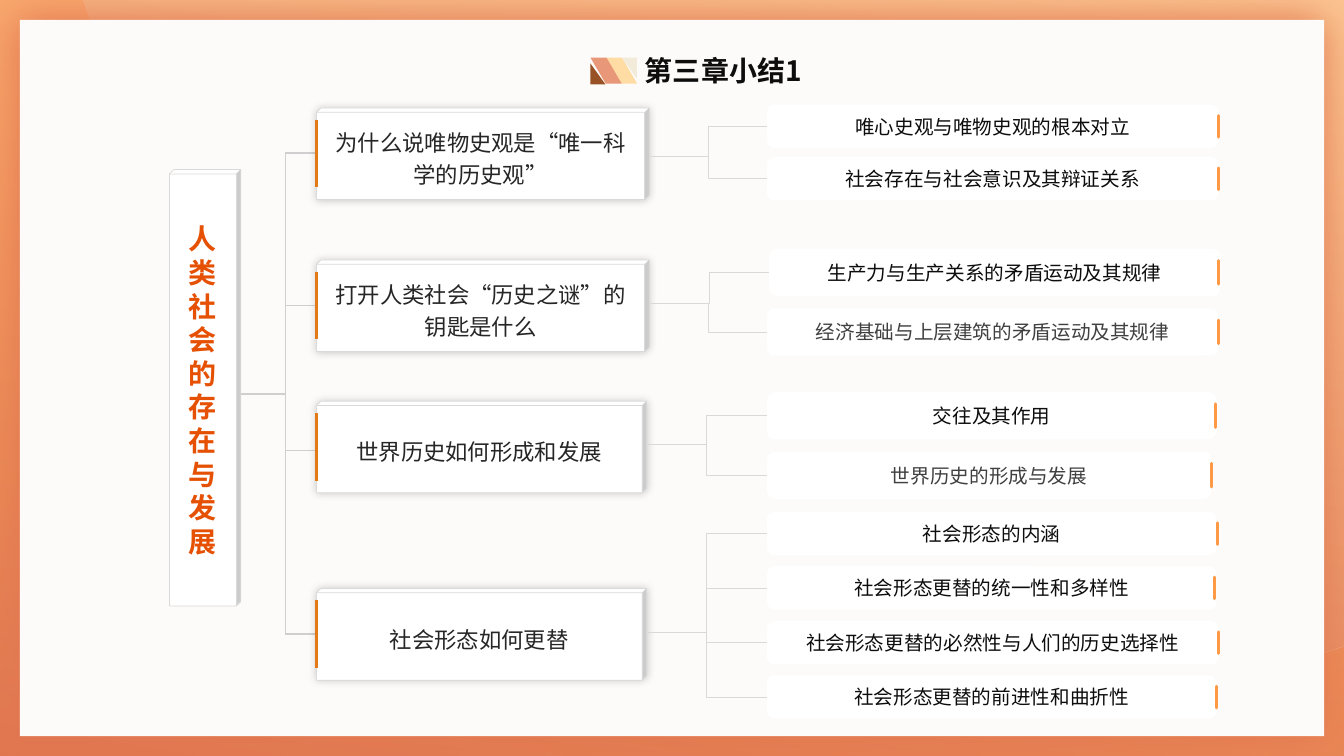
from dataclasses import dataclass

from lxml.etree import SubElement
from pptx import Presentation
from pptx.dml.color import RGBColor
from pptx.enum.shapes import MSO_CONNECTOR as Link, MSO_SHAPE as Preset
from pptx.enum.text import MSO_ANCHOR as Anchor, MSO_AUTO_SIZE as AutoSize, PP_ALIGN as Align
from pptx.oxml.ns import qn
from pptx.util import Cm, Pt


@dataclass(frozen=True)
class Theme:
    font: str = "Noto Sans CJK SC"
    title_size: int = 20
    topic_size: int = 16
    point_size: int = 14
    ink: str = "0D0D0D"
    topic_ink: str = "262626"
    soft_ink: str = "404040"
    root_ink: str = "E55003"
    white: str = "FFFFFF"
    panel: str = "FDFBF9"
    frame: str = "E17751"
    frame_end: str = "FD7201"
    swoosh_end: str = "FDD5A6"
    edge: str = "D9D9D9"
    spine: str = "D0CECE"
    topic_mark: str = "E37A17"
    point_mark: str = "FE9946"


@dataclass(frozen=True)
class Box:
    left: float
    top: float
    width: float
    height: float

    @property
    def right(self) -> float:
        return self.left + self.width

    @property
    def middle(self) -> float:
        return self.top + self.height / 2


@dataclass(frozen=True)
class Shadow:
    color: str
    alpha: int
    blur: int


@dataclass(frozen=True)
class Point:
    text: str
    box: Box
    mark_x: float
    ink: str


@dataclass(frozen=True)
class Topic:
    text: str
    box: Box
    branch_y: float
    hub_y: float
    points: tuple[Point, ...]


@dataclass(frozen=True)
class Stripe:
    preset: Preset
    box: Box
    color: str
    flipped: bool = False
    turn: int = 0


THEME = Theme()
SPINE_X = 7.19
STUB_Y = 9.93
ROOT = Box(4.27, 4.27, 1.8, 11)
TOPIC_SHADOW = Shadow("000000", 20, 6)


def point(text: str, top: float, height: float = 1.09, width: float = 11.38,
          mark_x: float = 30.71, ink: str = THEME.ink, left: float = 19.33) -> Point:
    return Point(text, Box(left, top, width, height), mark_x, ink)


def topic(text: str, top: float, width: float, branch_y: float, hub_y: float, *points: Point) -> Topic:
    return Topic(text, Box(7.98, top, width, 2.31), branch_y, hub_y, points)


TOPICS = (
    topic("为什么说唯物史观是“唯一科学的历史观”", 2.72, 8.38, 3.86, 3.94,
          point("唯心史观与唯物史观的根本对立", 2.64),
          point("社会存在与社会意识及其辩证关系", 3.96)),
    topic("打开人类社会“历史之谜”的钥匙是什么", 6.55, 8.38, 7.7, 7.65,
          point("生产力与生产关系的矛盾运动及其规律", 6.27, 1.19, left=19.38),
          point("经济基础与上层建筑的矛盾运动及其规律", 7.77, 1.19, ink=THEME.soft_ink)),
    topic("世界历史如何形成和发展", 10.11, 8.31, 11.35, 11.2,
          point("交往及其作用", 9.88, 1.19, 11.33, 30.63),
          point("世界历史的形成与发展", 11.38, 1.19, 11.2, 30.53, THEME.soft_ink)),
    topic("社会形态如何更替", 14.83, 8.31, 15.98, 15.93,
          point("社会形态的内涵", 12.9, width=11.33, mark_x=30.68),
          point("社会形态更替的统一性和多样性", 14.27, width=11.33, mark_x=30.61),
          point("社会形态更替的必然性与人们的历史选择性", 15.65),
          point("社会形态更替的前进性和曲折性", 17.02, width=11.33, mark_x=30.66)),
)

STRIPES = (
    Stripe(Preset.PARALLELOGRAM, Box(15.27, 1.45, 0.79, 0.66), "FEDCA3", flipped=True),
    Stripe(Preset.RIGHT_TRIANGLE, Box(15.67, 1.45, 0.38, 0.53), "F2EBD9", turn=180),
    Stripe(Preset.PARALLELOGRAM, Box(14.88, 1.45, 0.79, 0.66), "E89779", flipped=True),
    Stripe(Preset.RIGHT_TRIANGLE, Box(14.88, 1.6, 0.38, 0.53), "985125"),
)


def rgb(color: str) -> RGBColor:
    return RGBColor.from_string(color)


def add_block(slide, preset: Preset, box: Box, fill: str, edge: str = "", shadow: Shadow | None = None):
    block = slide.shapes.add_shape(preset, Cm(box.left), Cm(box.top), Cm(box.width), Cm(box.height))
    block.fill.solid()
    block.fill.fore_color.rgb = rgb(fill)
    if edge:
        block.line.color.rgb = rgb(edge)
        block.line.width = Pt(0.5)
    else:
        block.line.fill.background()
    block.shadow.inherit = False
    if shadow:
        effects = block.element.spPr.find(qn("a:effectLst"))
        outer = SubElement(effects, qn("a:outerShdw"), blurRad=str(Pt(shadow.blur)), dist="0", algn="ctr")
        tone = SubElement(outer, qn("a:srgbClr"), val=shadow.color)
        SubElement(tone, qn("a:alpha"), val=str(shadow.alpha * 1000))
    return block


def add_line(slide, x1: float, y1: float, x2: float, y2: float, color: str, width: float,
             kind: Link = Link.STRAIGHT, rounded: bool = False) -> None:
    line = slide.shapes.add_connector(kind, Cm(x1), Cm(y1), Cm(x2), Cm(y2))
    line.line.color.rgb = rgb(color)
    line.line.width = Pt(width)
    if rounded:
        line.line._get_or_add_ln().set("cap", "rnd")
    SubElement(line.element.spPr, qn("a:effectLst"))


def write(shape, text: str, size: int, color: str, bold: bool = False,
          align: Align = Align.CENTER, spacing: float = 1.0) -> None:
    frame = shape.text_frame
    frame.word_wrap = True
    frame.auto_size = AutoSize.NONE
    frame.vertical_anchor = Anchor.MIDDLE
    paragraph = frame.paragraphs[0]
    paragraph.alignment = align
    paragraph.line_spacing = spacing
    run = paragraph.add_run()
    run.text = text
    run.font.size = Pt(size)
    run.font.bold = bold
    run.font.color.rgb = rgb(color)
    run.font.name = THEME.font
    SubElement(run._r.get_or_add_rPr(), qn("a:ea"), typeface=THEME.font)


def fill_gradient(shape, start: str, end: str) -> None:
    shape.line.fill.background()
    shape.shadow.inherit = False
    shape.fill.gradient()
    shape.fill.gradient_angle = 80
    for stop, color in zip(shape.fill.gradient_stops, (start, end)):
        stop.color.rgb = rgb(color)
    tones = list(shape.element.spPr.iter(qn("a:srgbClr")))
    SubElement(tones[-1], qn("a:alpha"), val="50000")


def curve(*controls: tuple[float, float], steps: int = 24) -> list[tuple[float, float]]:
    def at(t: float, axis: int) -> float:
        a, b, c, d = (control[axis] for control in controls)
        return a * (1 - t) ** 3 + 3 * b * t * (1 - t) ** 2 + 3 * c * t ** 2 * (1 - t) + d * t ** 3
    return [(at(i / steps, 0), at(i / steps, 1)) for i in range(1, steps + 1)]


def draw_background(slide) -> None:
    frame = add_block(slide, Preset.RECTANGLE, Box(0, 0, 33.87, 19.05), THEME.frame)
    fill_gradient(frame, THEME.frame, THEME.frame_end)
    outline = [(33.87, 0), (33.87, 16.26), (33.4, 16.41)]
    outline += curve((33.4, 16.41), (31.04, 17.15), (28.55, 17.53), (25.96, 17.53))
    outline += curve((25.96, 17.53), (15.16, 17.53), (5.99, 10.69), (2.49, 1.12))
    builder = slide.shapes.build_freeform(Cm(2.11), 0)
    builder.add_line_segments([(Cm(x), Cm(y)) for x, y in outline], close=True)
    fill_gradient(builder.convert_to_shape(), THEME.frame, THEME.swoosh_end)
    add_block(slide, Preset.RECTANGLE, Box(0.5, 0.5, 32.87, 18.05), THEME.panel,
              shadow=Shadow(THEME.frame, 100, 30))


def draw_title(slide) -> None:
    title = slide.shapes.title
    title.left, title.top, title.width, title.height = Cm(16), Cm(1.22), Cm(5.49), Cm(1.12)
    write(title, "第三章小结1", THEME.title_size, THEME.ink, bold=True, align=Align.LEFT)
    title.element.getparent().append(title.element)
    for stripe in STRIPES:
        block = add_block(slide, stripe.preset, stripe.box, stripe.color)
        block.rotation = stripe.turn
        if stripe.preset == Preset.PARALLELOGRAM:
            block.adjustments[0] = 0.585
        if stripe.flipped:
            block.element.spPr.xfrm.set("flipH", "1")


def draw_root(slide) -> None:
    add_line(slide, SPINE_X, TOPICS[0].branch_y, SPINE_X, TOPICS[-1].branch_y, THEME.spine, 1)
    add_line(slide, SPINE_X, STUB_Y, ROOT.right, STUB_Y, THEME.spine, 1)
    root = add_block(slide, Preset.CUBE, ROOT, THEME.white, THEME.edge)
    root.adjustments[0] = 0.063
    write(root, "人类社会的存在与发展", THEME.title_size, THEME.root_ink, bold=True)


def draw_point(slide, item: Point) -> None:
    box = item.box
    plate = add_block(slide, Preset.ROUNDED_RECTANGLE, box, THEME.white)
    write(plate, item.text, THEME.point_size, item.ink)
    reach = box.height / 4
    add_line(slide, item.mark_x, box.middle - reach, item.mark_x, box.middle + reach,
             THEME.point_mark, 2, rounded=True)


def draw_topic(slide, item: Topic) -> None:
    box = item.box
    add_line(slide, box.left, item.branch_y, SPINE_X, item.branch_y, THEME.spine, 1)
    cube = add_block(slide, Preset.CUBE, box, THEME.white, THEME.edge, TOPIC_SHADOW)
    cube.adjustments[0] = 0.048
    write(cube, item.text, THEME.topic_size, THEME.topic_ink, spacing=1.2)
    add_line(slide, box.left, box.top + 0.3, box.left, box.top + 2, THEME.topic_mark, 2)
    for detail in item.points:
        draw_point(slide, detail)
        add_line(slide, box.right, item.hub_y, detail.box.left, detail.box.middle,
                 THEME.edge, 0.5, Link.ELBOW)


def main() -> None:
    deck = Presentation()
    deck.slide_width, deck.slide_height = Cm(33.87), Cm(19.05)
    slide = deck.slides.add_slide(deck.slide_layouts[5])
    draw_background(slide)
    draw_title(slide)
    draw_root(slide)
    for item in TOPICS:
        draw_topic(slide, item)
    deck.save("out.pptx")


if __name__ == "__main__":
    main()
